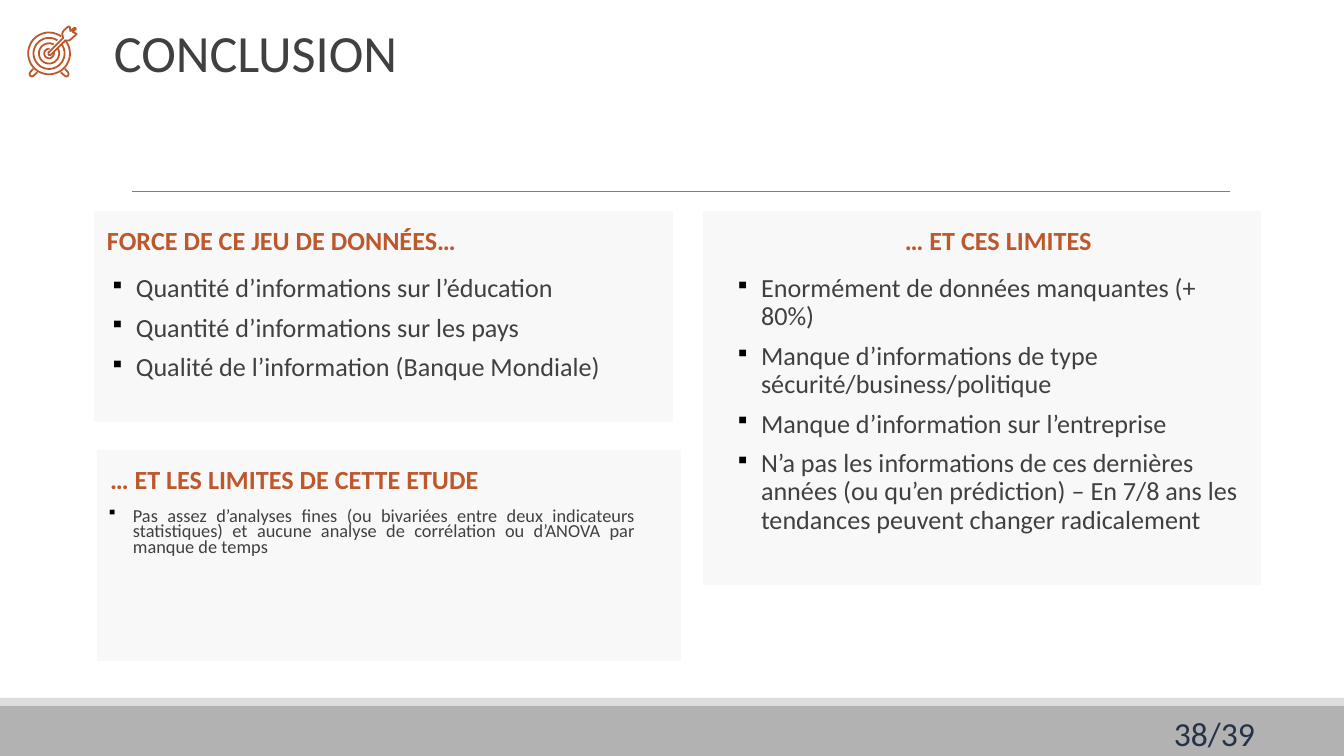
import math

from lxml import etree
from pptx import Presentation
from pptx.dml.color import RGBColor
from pptx.enum.shapes import MSO_CONNECTOR, MSO_SHAPE
from pptx.enum.text import MSO_ANCHOR, PP_ALIGN
from pptx.oxml.ns import qn
from pptx.util import Emu, Pt

PX = 914400 / 134.4
ICON_UNIT = PX / 10
INSET = 13
HEADING_INDENT = 202
BULLET_INDENT = 26
FONT = "Calibri"

RECT = MSO_SHAPE.RECTANGLE
STRAIGHT = MSO_CONNECTOR.STRAIGHT
TOP, MIDDLE = MSO_ANCHOR.TOP, MSO_ANCHOR.MIDDLE
LEFT, RIGHT, JUSTIFY = PP_ALIGN.LEFT, PP_ALIGN.RIGHT, PP_ALIGN.JUSTIFY

ORANGE = RGBColor(0xBD, 0x58, 0x2C)
DARK = RGBColor(0x40, 0x40, 0x40)
NAVY = RGBColor(0x26, 0x32, 0x48)
RULE = RGBColor(0x7F, 0x7F, 0x7F)
PANEL = RGBColor(0xF8, 0xF8, 0xF8)
FOOTER = RGBColor(0xB2, 0xB2, 0xB2)
FOOTER_EDGE = RGBColor(0xDD, 0xDD, 0xDD)

STRENGTHS = [
    "Quantité d’informations sur l’éducation",
    "Quantité d’informations sur les pays",
    "Qualité de l’information (Banque Mondiale)",
]
LIMITS = [
    "Enormément de données manquantes (+ 80%)",
    "Manque d’informations de type sécurité/business/politique",
    "Manque d’information sur l’entreprise",
    "N’a pas les informations de ces dernières années (ou qu’en prédiction) – "
    "En 7/8 ans les tendances peuvent changer radicalement",
]
STUDY_LIMITS = [
    "Pas assez d’analyses fines (ou bivariées entre deux indicateurs statistiques) "
    "et aucune analyse de corrélation ou d’ANOVA par manque de temps",
]

# Icon outlines, in tenths of a px
TARGET_CENTRE = (491, 535)
RINGS = [(209, 54, 396), (155, 57, 396), (101, 63, 392), (48, 82, 376)]
FOOT = [(333, 688), (302, 722), (296, 740), (300, 757), (315, 766), (333, 760), (374, 724)]
ARROW = [
    (757, 334), (726, 318), (757, 292), (757, 280), (744, 278), (704, 310), (699, 272),
    (688, 264), (676, 270), (632, 312), (622, 338), (632, 380), (484, 526), (484, 548),
    (505, 550), (654, 404), (690, 406), (708, 394), (757, 350), (766, 340),
]


def px(*values):
    return [Emu(round(v * PX)) for v in values]


def add_rect(s, box, color):
    sp = s.shapes.add_shape(RECT, *px(*box))
    sp.shadow.inherit = False
    sp.fill.solid()
    sp.fill.fore_color.rgb = color
    sp.line.fill.background()
    return sp


def prepare_frame(sp, anchor=TOP, left=INSET):
    tf = sp.text_frame
    tf.word_wrap = True
    tf.vertical_anchor = anchor
    tf.margin_left, = px(left)
    tf.margin_top, tf.margin_right, tf.margin_bottom = px(INSET, INSET, INSET)
    return tf


def add_run(p, text, size, color, bold=False):
    r = p.add_run()
    r.text = text
    r.font.name = FONT
    r.font.size = Pt(size)
    r.font.bold = bold
    r.font.color.rgb = color


def add_panel(s, box, heading, left=INSET):
    tf = prepare_frame(add_rect(s, box, PANEL), left=left)
    p = tf.paragraphs[0]
    p.alignment = LEFT
    add_run(p, heading, 14, ORANGE, bold=True)


def add_label(s, box, text, size, color, align=LEFT, spacing=1.0):
    tf = prepare_frame(s.shapes.add_textbox(*px(*box)), MIDDLE)
    p = tf.paragraphs[0]
    p.alignment = align
    p.line_spacing = spacing
    add_run(p, text, size, color)


def set_bullet(p):
    pPr = p._p.get_or_add_pPr()
    indent, = px(BULLET_INDENT)
    pPr.set("marL", str(indent))
    pPr.set("indent", str(-indent))
    color = etree.SubElement(pPr, qn("a:buClr"))
    etree.SubElement(color, qn("a:srgbClr"), val="000000")
    etree.SubElement(pPr, qn("a:buSzPct"), val="78000")
    etree.SubElement(pPr, qn("a:buChar"), char="▪")


def add_bullets(s, box, items, size=14, spacing=0.9, align=LEFT):
    tf = prepare_frame(s.shapes.add_textbox(*px(*box)))
    for i, item in enumerate(items):
        p = tf.add_paragraph() if i else tf.paragraphs[0]
        set_bullet(p)
        p.alignment = align
        p.line_spacing = spacing
        if i:
            p.space_before = Pt(6)
        add_run(p, item, size, DARK)


def add_rule(s, x1, x2, y):
    line = s.shapes.add_connector(STRAIGHT, *px(x1, y, x2, y))
    line.line.color.rgb = RULE
    line.line.width = Pt(0.5)
    etree.SubElement(line._element.spPr, qn("a:effectLst"))


def add_outline(s, points, close=False):
    builder = s.shapes.build_freeform(*points[0], scale=ICON_UNIT)
    builder.add_line_segments(points[1:], close=close)
    sp = builder.convert_to_shape()
    sp.shadow.inherit = False
    sp.fill.background()
    sp.line.color.rgb = ORANGE
    sp.line.width = Pt(0.96)


def arc_points(radius, start, end, steps=48):
    """Points counterclockwise around the target, angles in degrees."""
    cx, cy = TARGET_CENTRE
    angles = [math.radians(start + (end - start) * i / steps) for i in range(steps + 1)]
    return [(round(cx + radius * math.cos(a)), round(cy - radius * math.sin(a)))
            for a in angles]


def add_target_icon(s):
    for ring in RINGS:
        add_outline(s, arc_points(*ring))
    add_outline(s, FOOT)
    add_outline(s, [(2 * TARGET_CENTRE[0] - x, y) for x, y in FOOT])
    add_outline(s, ARROW, close=True)


def main():
    prs = Presentation()
    prs.slide_width, prs.slide_height = px(1344, 756)
    s = prs.slides.add_slide(prs.slide_layouts[6])

    add_rect(s, (0, 706, 1344, 50), FOOTER)
    add_rect(s, (0, 698, 1344, 8), FOOTER_EDGE)
    add_rule(s, 132, 1230, 192)
    add_label(s, (101, 0, 941, 113), "CONCLUSION", 28, DARK, spacing=0.85)
    add_target_icon(s)

    add_panel(s, (94, 211, 579, 211), "FORCE DE CE JEU DE DONNÉES…")
    add_bullets(s, (97, 262, 534, 195), STRENGTHS)
    add_panel(s, (703, 211, 558, 374), "… ET CES LIMITES", left=HEADING_INDENT)
    add_bullets(s, (722, 262, 546, 317), LIMITS)
    add_panel(s, (97, 450, 584, 211), "… ET LES LIMITES DE CETTE ETUDE")
    add_bullets(s, (94, 497, 554, 78), STUDY_LIMITS, size=9.8, spacing=0.7, align=JUSTIFY)

    add_label(s, (1134, 710, 134, 47), "38/39", 18, NAVY, align=RIGHT)
    prs.save("out.pptx")


if __name__ == "__main__":
    main()
